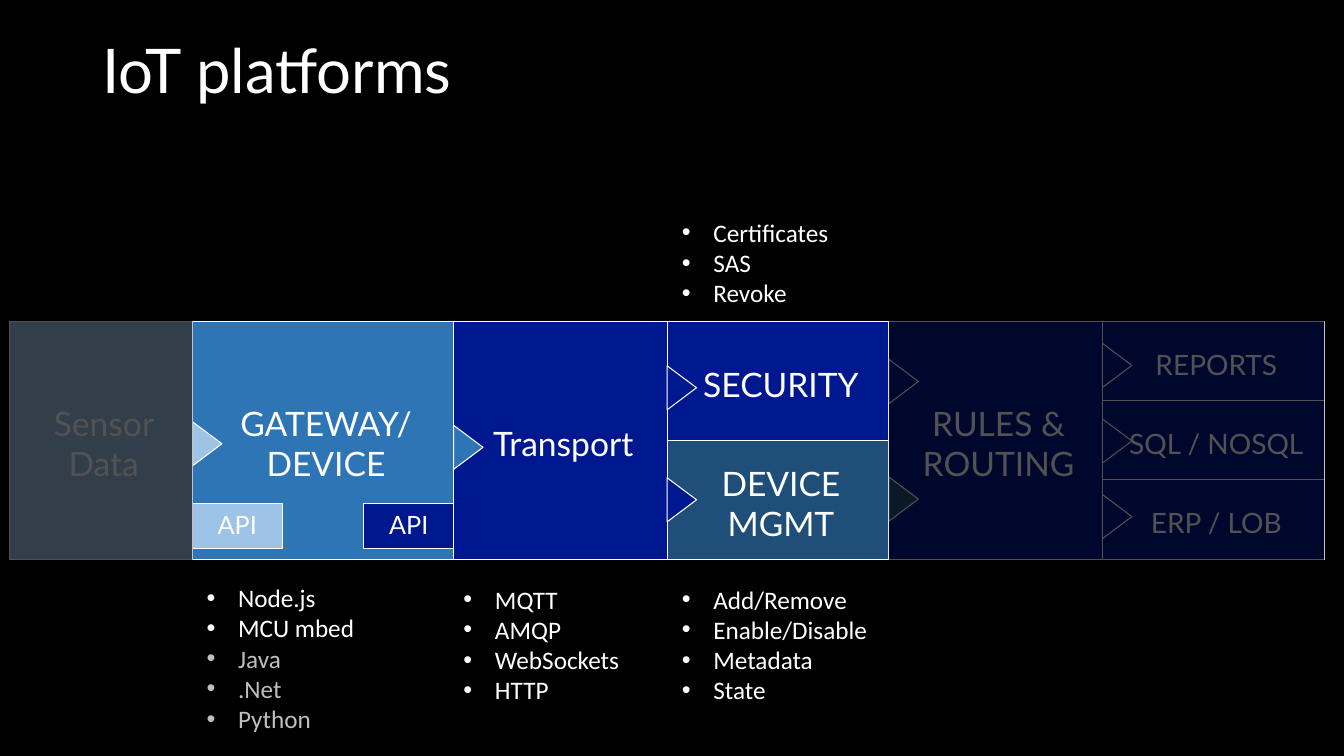
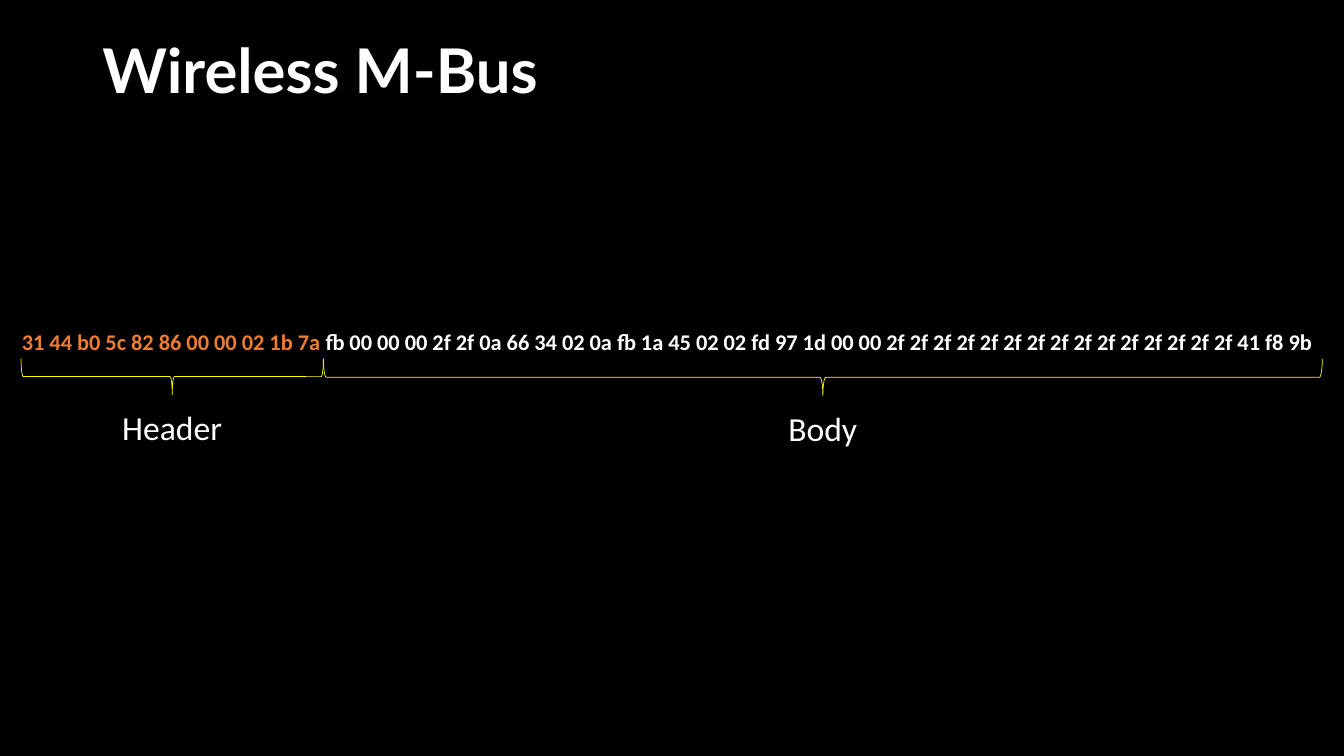
from itertools import accumulate

from lxml.etree import SubElement
from pptx import Presentation
from pptx.dml.color import RGBColor as RGB
from pptx.enum.shapes import MSO_SHAPE as SHAPE
from pptx.enum.text import MSO_ANCHOR as ANCHOR, PP_ALIGN as ALIGN
from pptx.oxml.ns import qn
from pptx.util import Pt

WIDTH, HEIGHT = 960, 540
BLACK, WHITE, GRAY = "000000", "FFFFFF", "BFBFBF"
NAVY, BLUE, SKY, STEEL = "00188F", "2E75B6", "9DC3E6", "1F4E79"
ORANGE, YELLOW = "ED7D31", "FFFF00"
HEAD, BODY = "Lato", "Calibri"
MIDDLE, CENTER = ANCHOR.MIDDLE, ALIGN.CENTER
PAD = (7.2, 3.6, 7.2, 3.6)
INSET = (7.2, 7.2, 2.88, 2.88)


def paint(fmt, color):
    fmt.solid()
    fmt.fore_color.rgb = RGB.from_string(color)


def add_bullet(para, indent=22.5):
    props = para._p.get_or_add_pPr()
    props.set("marL", str(Pt(indent)))
    props.set("indent", str(-Pt(indent)))
    SubElement(props, qn("a:buFont"), typeface="Arial")
    SubElement(props, qn("a:buChar"), char="•")


def write(shape, lines, size=18, font=BODY, color=WHITE, bold=False, align=ALIGN.LEFT,
          anchor=ANCHOR.TOP, pad=PAD, wrap=True, bullet=False, spacing=None):
    frame = shape.text_frame
    frame.word_wrap = wrap
    frame.vertical_anchor = anchor
    frame.margin_left, frame.margin_top, frame.margin_right, frame.margin_bottom = map(Pt, pad)
    for row, line in enumerate(lines):
        para = frame.add_paragraph() if row else frame.paragraphs[0]
        para.alignment = align
        if spacing:
            para.line_spacing = spacing
        if bullet:
            add_bullet(para)
        for words, tint in [(line, color)] if isinstance(line, str) else line:
            run = para.add_run()
            run.text = words
            run.font.name, run.font.size, run.font.bold = font, Pt(size), bold
            run.font.color.rgb = RGB.from_string(tint)


def add_text(slide, box, lines, **style):
    write(slide.shapes.add_textbox(*map(Pt, box)), lines, **style)


def add_form(slide, kind, box, fill=None, line=None, weight=0.75, turn=0):
    shape = slide.shapes.add_shape(kind, *map(Pt, box))
    shape.shadow.inherit = False
    shape.rotation = turn
    if fill:
        paint(shape.fill, fill)
    else:
        shape.fill.background()
    if line:
        paint(shape.line.fill, line)
        shape.line.width = Pt(weight)
    else:
        shape.line.fill.background()
    return shape


def add_panel(slide, box, label, fill, size=24, pad=INSET, spacing=None):
    panel = add_form(slide, SHAPE.RECTANGLE, box, fill, WHITE)
    write(panel, [label], size=size, font=HEAD, align=CENTER, anchor=MIDDLE,
          pad=pad, spacing=spacing)


def add_notch(slide, left, mid, fill, width=21, height=31.5):
    box = (left + (width - height) / 2, mid - width / 2, height, width)
    add_form(slide, SHAPE.ISOSCELES_TRIANGLE, box, fill, WHITE, turn=90)


def add_shade(slide, box):
    shade = add_form(slide, SHAPE.RECTANGLE, box, BLACK)
    color = shade.fill._xPr.find(qn("a:solidFill"))[0]
    SubElement(color, qn("a:alpha"), val="68000")


def add_list(slide, left, top, lines):
    add_text(slide, (left, top, 150, 22 * len(lines) + 7), lines, bullet=True)


def add_brace(slide, box, bend):
    left, top, width, height = box
    turned = (left + (width - height) / 2, top + (height - width) / 2, height, width)
    brace = add_form(slide, SHAPE.RIGHT_BRACE, turned, line=YELLOW, weight=0.5, turn=90)
    brace.adjustments[0] = bend


def add_part(slide, box, label, bend):
    left, top, width, height = box
    add_brace(slide, box, bend)
    add_text(slide, (left + width / 2 - 43, top + height + 5, 86, 36), [label],
             size=24, align=CENTER, wrap=False)


def start_slide(deck, title, bold=False):
    slide = deck.slides.add_slide(deck.slide_layouts[6])
    paint(slide.background.fill, BLACK)
    add_text(slide, (66, 0, 828, 104.4), [title], size=44, font=HEAD, bold=bold,
             anchor=MIDDLE, spacing=0.9)
    return slide


def add_flow(slide, box):
    left, top, width, height = box
    sizes = (131, 186.5, 152.5, 158.5, 152.5)
    edges = list(accumulate(sizes, initial=left))
    sensor, gate, transport, guard, rules, store = edges
    widths = (*sizes, left + width - store)

    columns = [
        ("Sensor Data", SKY), ("GATEWAY/ DEVICE", BLUE), ("Transport", NAVY),
        None, ("RULES & ROUTING", NAVY), None,
    ]
    for edge, size, column in zip(edges, widths, columns):
        if column:
            add_panel(slide, (edge, top, size, height), *column)

    half = height / 2
    for row, (label, fill) in enumerate([("SECURITY", NAVY), ("DEVICE MGMT", STEEL)]):
        add_panel(slide, (guard, top + row * half, widths[3], half), label, fill)

    third = height / 3
    for row, label in enumerate(["REPORTS", "SQL / NOSQL", "ERP / LOB"]):
        add_panel(slide, (store, top + row * third, widths[5], third), label, NAVY, size=20)

    chip = 64
    for edge, fill in [(gate, SKY), (transport - chip, NAVY)]:
        add_panel(slide, (edge, top + 130, chip, 32.5), "API", fill,
                  size=18, pad=PAD, spacing=0.9)

    notches = [
        (gate, 87.5, SKY), (transport, 90, BLUE),
        (guard, 47.5, NAVY), (guard, 127.5, NAVY),
        (rules, 43, NAVY), (rules, 127, STEEL),
        *((store, 31.5 + 54 * row, NAVY) for row in range(3)),
    ]
    for edge, drop, fill in notches:
        add_notch(slide, edge, top + drop, fill)

    for start, end in [(0, gate), (rules, left + width)]:
        add_shade(slide, (start, top - 2, end - start, height + 9))

    below = top + height + 14
    add_list(slide, gate + 3, below - 1, [
        "Node.js", "MCU mbed", *([(name, GRAY)] for name in ("Java", ".Net", "Python"))])
    add_list(slide, transport, below, ["MQTT", "AMQP", "WebSockets", "HTTP"])
    add_list(slide, guard + 3.5, top - 78, ["Certificates", "SAS", "Revoke"])
    add_list(slide, guard + 3.5, below, ["Add/Remove", "Enable/Disable", "Metadata", "State"])


def add_frame(slide, box):
    left, top, width, height = box
    header = "31 44 b0 5c 82 86 00 00 02 1b 7a "
    body = ("fb 00 00 00 2f 2f 0a 66 34 02 0a fb 1a 45 02 02 fd 97 1d 00 00 "
            "2f 2f 2f 2f 2f 2f 2f 2f 2f 2f 2f 2f 2f 2f 2f 41 f8 9b")
    add_text(slide, box, [[(header, ORANGE), (body, WHITE)]], size=16, bold=True)
    split = left + 222.5
    under = top + height - 1.5
    add_part(slide, (left + 6.5, under, 216, 26), "Header", 0.06)
    add_part(slide, (split, under + 0.5, 713.5, 26), "Body", 0.08)


def main():
    deck = Presentation()
    deck.slide_width, deck.slide_height = Pt(WIDTH), Pt(HEIGHT)
    add_flow(start_slide(deck, "IoT platforms"), (6.5, 229.5, 939.5, 170))
    add_frame(start_slide(deck, "Wireless M-Bus", bold=True), (8.5, 231, 951.5, 26.5))
    deck.save("out.pptx")


if __name__ == "__main__":
    main()
